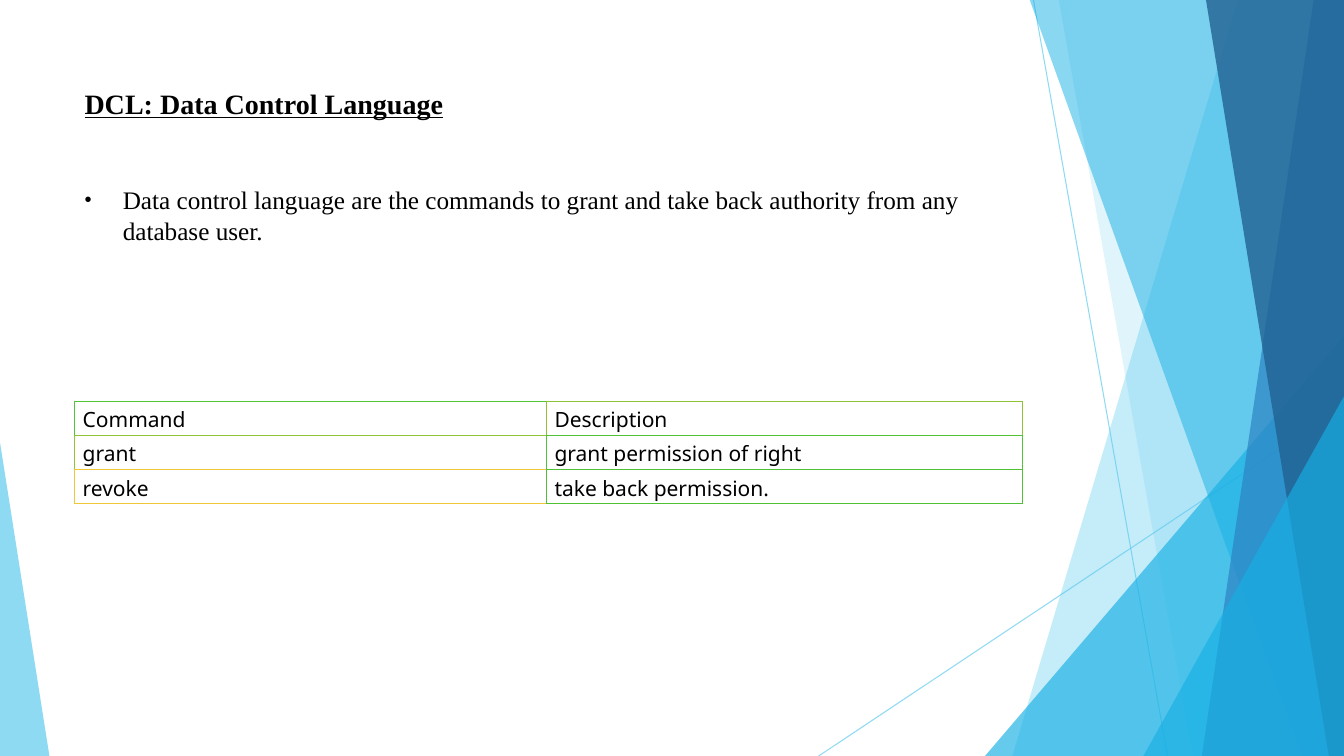
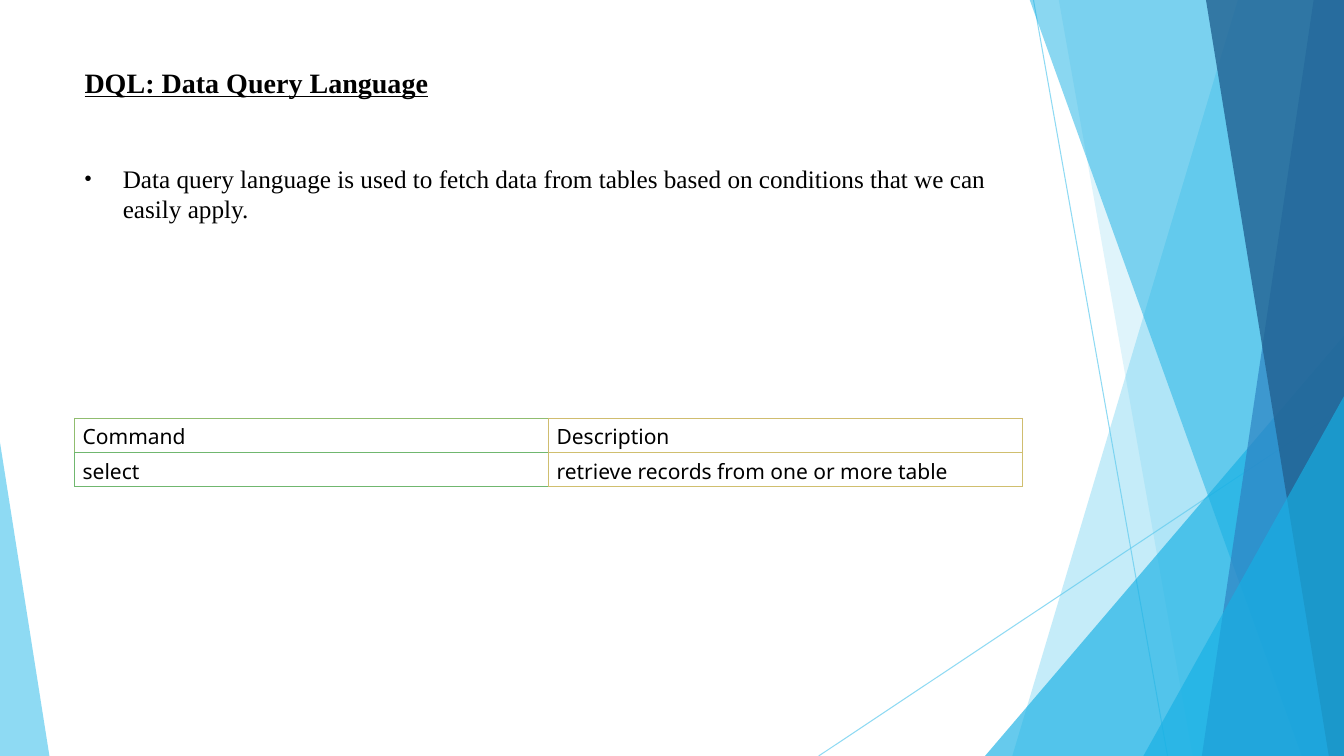
from lxml.etree import SubElement
from pptx import Presentation
from pptx.dml.color import RGBColor
from pptx.enum.shapes import MSO_CONNECTOR, MSO_SHAPE
from pptx.oxml.ns import qn
from pptx.util import Inches, Pt

COLORS = {
    "text": "000000",
    "paper": "FFFFFF",
    "sky": "5FCBEF",
    "azure": "17B0E4",
    "blue": "2E83C3",
    "navy": "226292",
}
TITLE_FONT = "Times New Roman"
TABLE_FONT = "Noto Sans"
WIDTH, HEIGHT, BAND_TOP = 13.33, 7.5, -0.01
LEFT, CONTENT_WIDTH, ROW_HEIGHT = 0.74, 9.4, 0.34
LINE_WIDTH = Pt(0.75)


def rgb(name):
    """Return the palette colour called name."""
    return RGBColor.from_string(COLORS[name])


def set_opacity(element, percent):
    """Give every colour in the element's properties an opacity."""
    for color in element.spPr.iter(qn("a:srgbClr")):
        SubElement(color, qn("a:alpha"), val=str(percent * 1000))


def paint(facet, color, opacity):
    """Fill a facet with a translucent colour, without outline or shadow."""
    facet.fill.solid()
    facet.fill.fore_color.rgb = rgb(color)
    facet.line.fill.background()
    facet.shadow.inherit = False
    set_opacity(facet._element, opacity)


def add_ray(slide, start, end):
    """Draw a thin translucent line."""
    ray = slide.shapes.add_connector(
        MSO_CONNECTOR.STRAIGHT, *(Inches(value) for value in start + end))
    ray.line.color.rgb = rgb("sky")
    ray.line.width = LINE_WIDTH
    set_opacity(ray._element, 70)
    SubElement(ray._element.spPr, qn("a:effectLst"))


def add_band(slide, top_x, bottom_x, color, opacity):
    """Draw a full-height band from a slanted left edge to the slide's right."""
    corners = [(top_x, BAND_TOP), (WIDTH, BAND_TOP),
               (WIDTH, HEIGHT), (bottom_x, HEIGHT)]
    points = [(Inches(x), Inches(y)) for x, y in corners]
    outline = slide.shapes.build_freeform(*points[0])
    outline.add_line_segments(points[1:], close=True)
    paint(outline.convert_to_shape(), color, opacity)


def add_corner(slide, left, top, width, apex, color, opacity):
    """Draw a right triangle that stands on the slide's bottom edge."""
    corner = slide.shapes.add_shape(
        MSO_SHAPE.ISOSCELES_TRIANGLE, Inches(left), Inches(top),
        Inches(width), Inches(HEIGHT - top))
    corner.adjustments[0] = apex
    paint(corner, color, opacity)


def add_backdrop(slide):
    """Draw the facets that all slides share, from back to front."""
    slide.background.fill.solid()
    slide.background.fill.fore_color.rgb = rgb("paper")
    add_ray(slide, (10.25, 0), (11.58, HEIGHT))
    add_ray(slide, (WIDTH, 4.03), (8.12, HEIGHT))
    add_band(slide, 12.28, 10.04, "sky", 36)
    add_band(slide, 10.5, 11.83, "sky", 20)
    add_corner(slide, 9.77, 3.33, 3.56, 1, "azure", 66)
    add_band(slide, 10.21, 12.91, "azure", 50)
    add_band(slide, 13.03, 11.92, "blue", 70)
    add_band(slide, 11.96, 13.18, "navy", 80)
    add_corner(slide, 11.34, 3.93, 1.99, 1, "azure", 66)
    add_corner(slide, 0, 4.39, 0.49, 0, "sky", 70)


def style_text(paragraph, font_name, size, emphasis=None):
    """Format the runs of a paragraph; emphasis sets bold and underline."""
    for run in paragraph.runs:
        run.font.name = font_name
        run.font.size = Pt(size)
        run.font.color.rgb = rgb("text")
        run.font.bold = run.font.underline = emphasis


def add_bullet(paragraph):
    """Give a paragraph a hanging bullet."""
    properties = paragraph._p.get_or_add_pPr()
    indent = Inches(0.38)
    properties.set("marL", str(indent))
    properties.set("indent", str(-indent))
    SubElement(properties, qn("a:buSzPct"), val="80000")
    SubElement(properties, qn("a:buFont"), typeface="Arial")
    SubElement(properties, qn("a:buChar"), char="•")


def add_body(slide, top, height, heading, statement):
    """Write the underlined heading and the bullet below it."""
    body = slide.shapes.add_textbox(
        Inches(LEFT), Inches(top), Inches(CONTENT_WIDTH), Inches(height))
    frame = body.text_frame
    frame.word_wrap = True
    title = frame.paragraphs[0]
    title.text = heading
    style_text(title, TITLE_FONT, 20, True)
    bullet = frame.add_paragraph()
    bullet.text = statement
    bullet.space_before = Pt(46)
    style_text(bullet, TITLE_FONT, 18)
    add_bullet(bullet)


def add_border(cell, side, color):
    """Draw one side of a cell: L, R, T or B."""
    border = SubElement(cell._tc.get_or_add_tcPr(), qn(f"a:ln{side}"),
                        w=str(LINE_WIDTH))
    fill = SubElement(border, qn("a:solidFill"))
    SubElement(fill, qn("a:srgbClr"), val=color)


def style_cell(cell, right, bottom, own):
    """Set a cell's borders, fill, margins and font."""
    for side, color in zip("LRTB", (own, right, own, bottom)):
        add_border(cell, side, color)
    cell.fill.solid()
    cell.fill.fore_color.rgb = rgb("paper")
    cell.margin_left = cell.margin_right = Inches(0.08)
    cell.margin_top = cell.margin_bottom = Inches(0.04)
    style_text(cell.text_frame.paragraphs[0], TABLE_FONT, 15)


def add_commands(slide, top, column_widths, rows, edges):
    """Add the command table; a shared edge has the later cell's colour."""
    commands = slide.shapes.add_table(
        len(rows), len(column_widths), Inches(LEFT), Inches(top),
        Inches(CONTENT_WIDTH), Inches(ROW_HEIGHT * len(rows))).table
    commands.first_row = commands.horz_banding = False
    for column, width in zip(commands.columns, column_widths):
        column.width = Inches(width)
    for r, row in enumerate(rows):
        for c, entry in enumerate(row):
            cell = commands.cell(r, c)
            cell.text_frame.text = entry
            right = edges[r][min(c + 1, len(row) - 1)]
            bottom = edges[min(r + 1, len(rows) - 1)][c]
            style_cell(cell, right, bottom, edges[r][c])


def add_language_slide(deck, body, commands):
    """Add one slide about a command language."""
    slide = deck.slides.add_slide(deck.slide_layouts[6])
    add_backdrop(slide)
    add_body(slide, *body)
    add_commands(slide, *commands)


def main():
    """Build and save the deck."""
    deck = Presentation()
    deck.slide_width, deck.slide_height = Inches(WIDTH), Inches(HEIGHT)
    header = ("Command", "Description")
    add_language_slide(
        deck,
        (0.81, 5.8, "DCL: Data Control Language",
         "Data control language are the commands to grant and take back "
         "authority from any database user."),
        (3.98, (4.68, 4.72),
         [header,
          ("grant", "grant permission of right"),
          ("revoke", "take back permission.")],
         [("50C537", "90C237"), ("90C437", "50C337"), ("F0C737", "50C137")]))
    add_language_slide(
        deck,
        (0.6, 6, "DQL: Data Query Language",
         "Data query language is used to fetch data from tables based on "
         "conditions that we can easily apply."),
        (4.15, (4.7, 4.7),
         [header, ("select", "retrieve records from one or more table")],
         [("90BD6F", "D0BD6F"), ("70B76F", "D0BF6F")]))
    deck.save("out.pptx")


main()
